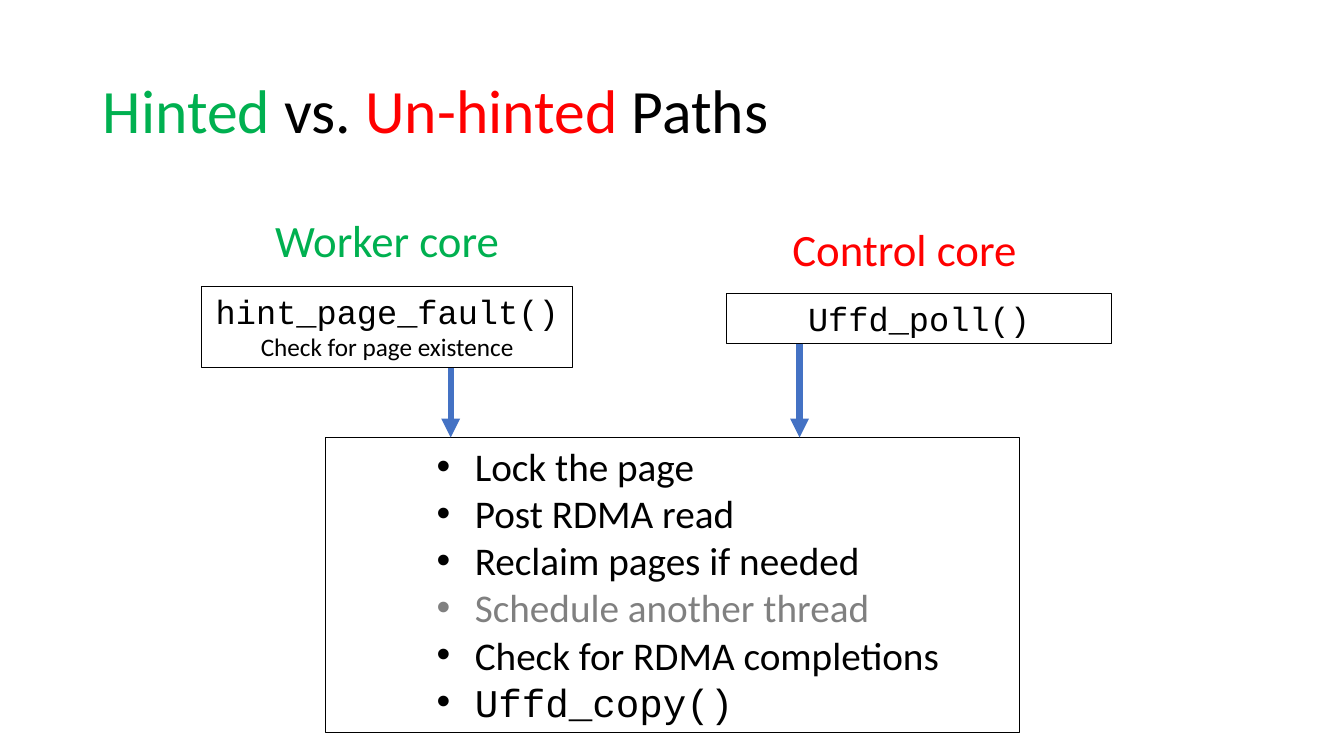
from lxml.etree import SubElement
from pptx import Presentation
from pptx.dml.color import RGBColor as Rgb
from pptx.enum.shapes import MSO_CONNECTOR as Link, MSO_SHAPE as Shape
from pptx.enum.text import MSO_ANCHOR as Anchor, MSO_AUTO_SIZE as Fit, PP_ALIGN as Align
from pptx.oxml.ns import qn
from pptx.util import Inches, Pt

HUES = {"black": "000000", "green": "00B050", "red": "FF0000",
        "gray": "808080", "blue": "4472C4"}
SANS, MONO = "Calibri", "Courier New"


class Page:
    def __init__(self, deck):
        self.slide = deck.slides.add_slide(deck.slide_layouts[1])

    def hue(self, name):
        return Rgb.from_string(HUES[name])

    def run(self, para, text, size, hue="black", face=SANS):
        run = para.add_run()
        run.text = text
        run.font.size = Pt(size)
        run.font.name = face
        run.font.color.rgb = self.hue(hue)

    def place(self, item, left, top, width, height):
        item.left, item.top = Inches(left), Inches(top)
        item.width, item.height = Inches(width), Inches(height)

    def frame(self, shape):
        shape.fill.background()
        shape.line.color.rgb = self.hue("black")
        shape.line.width = Pt(0.75)

    def title(self, parts, *area):
        head = self.slide.shapes.title
        self.place(head, *area)
        text = head.text_frame
        text.vertical_anchor = Anchor.MIDDLE
        para = text.paragraphs[0]
        para.alignment = Align.LEFT
        para.line_spacing = 0.9
        for words, hue in parts:
            self.run(para, words, 44, hue)

    def list(self, items, *area):
        body = self.slide.placeholders[1]
        self.place(body, *area)
        self.frame(body)
        text = body.text_frame
        text.auto_size = Fit.NONE
        text.vertical_anchor = Anchor.TOP
        for i, (words, hue, face) in enumerate(items):
            para = text.add_paragraph() if i else text.paragraphs[0]
            para.level = 2
            props = para._p.get_or_add_pPr()
            props.set("marL", str(Inches(1.38)))
            props.set("indent", str(Inches(-0.38)))
            SubElement(props, qn("a:buFont")).set("typeface", "Arial")
            SubElement(props, qn("a:buChar")).set("char", "•")
            para.space_before = Pt(0)
            self.run(para, words, 28, hue, face)

    def box(self, lines, *area):
        shape = self.slide.shapes.add_shape(Shape.RECTANGLE, *map(Inches, area))
        shape.shadow.inherit = False
        self.frame(shape)
        text = shape.text_frame
        text.word_wrap = True
        text.vertical_anchor = Anchor.TOP
        for i, (words, size, face) in enumerate(lines):
            para = text.add_paragraph() if i else text.paragraphs[0]
            para.alignment = Align.CENTER
            self.run(para, words, size, face=face)

    def arrow(self, x, top, end):
        line = self.slide.shapes.add_connector(
            Link.STRAIGHT, Inches(x), Inches(top), Inches(x), Inches(end))
        line.line.color.rgb = self.hue("blue")
        line.line.width = Pt(4.5)
        SubElement(line.line._get_or_add_ln(), qn("a:tailEnd")).set("type", "triangle")
        SubElement(line._element.spPr, qn("a:effectLst"))

    def label(self, words, hue, *area):
        text = self.slide.shapes.add_textbox(*map(Inches, area)).text_frame
        text.word_wrap = False
        text.auto_size = Fit.SHAPE_TO_FIT_TEXT
        self.run(text.paragraphs[0], words, 32, hue)


def main():
    deck = Presentation()
    deck.slide_width, deck.slide_height = Inches(13.33), Inches(7.5)
    page = Page(deck)
    page.title([("Hinted", "green"), (" vs. ", "black"),
                ("Un-hinted", "red"), (" Paths", "black")], 0.92, 0.4, 11.5, 1.45)
    page.list([("Lock the page", "black", SANS),
               ("Post RDMA read", "black", SANS),
               ("Reclaim pages if needed", "black", SANS),
               ("Schedule another thread", "gray", SANS),
               ("Check for RDMA completions", "black", SANS),
               ("Uffd_copy()", "black", MONO)], 3.23, 4.34, 6.88, 2.93)
    page.box([("Uffd_poll()", 24, MONO)], 7.21, 2.91, 3.81, 0.5)
    page.box([("hint_page_fault()", 24, MONO),
              ("Check for page existence", 18, SANS)], 2, 2.84, 3.68, 0.81)
    page.arrow(4.47, 3.65, 4.34)
    page.arrow(7.93, 3.41, 4.34)
    page.label("Control core", "red", 7.76, 2.15, 2.45, 0.64)
    page.label("Worker core", "green", 2.63, 2.06, 2.42, 0.64)
    deck.save("out.pptx")


if __name__ == "__main__":
    main()
